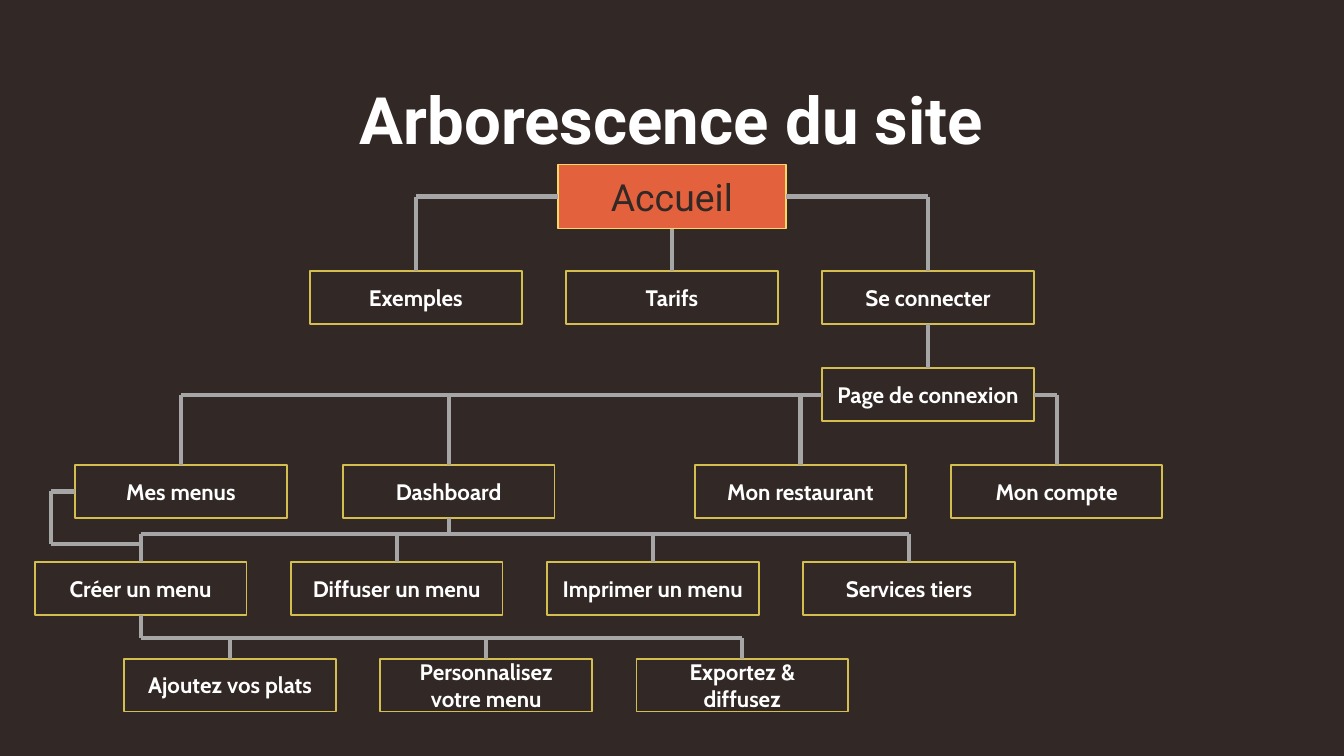
from dataclasses import dataclass
from itertools import pairwise

from lxml.etree import SubElement
from pptx import Presentation
from pptx.dml.color import RGBColor
from pptx.enum.shapes import MSO_CONNECTOR, MSO_SHAPE
from pptx.enum.text import MSO_ANCHOR, PP_ALIGN
from pptx.oxml.ns import qn
from pptx.util import Cm, Pt

DARK, WHITE, GREY = "322825", "FFFFFF", "A6A6A6"
ORANGE, YELLOW, GOLD = "E4613E", "F8D668", "D3BE4F"
PITCH = 4.84  # between neighbouring boxes
ROWS = [5.13 + 1.83 * i for i in range(5)]  # box tops
CENTRE = 12.7
INSET = Cm(0.25)


@dataclass
class Node:
    label: str
    x: float  # centre
    top: float
    w: float = 4.0
    h: float = 1.0

    @property
    def left(self) -> float:
        return self.x - self.w / 2

    @property
    def right(self) -> float:
        return self.x + self.w / 2

    @property
    def mid(self) -> float:
        return self.top + self.h / 2

    @property
    def bottom(self) -> float:
        return self.top + self.h


def rgb(value: str) -> RGBColor:
    return RGBColor.from_string(value)


def write(tf, text: str, font: str, size: float, color: str, bold: bool) -> None:
    tf.word_wrap = True
    tf.margin_left = tf.margin_right = tf.margin_top = tf.margin_bottom = INSET
    p = tf.paragraphs[0]
    p.alignment = PP_ALIGN.CENTER
    r = p.add_run()
    r.text = text
    r.font.name, r.font.size, r.font.bold = font, Pt(size), bold
    r.font.color.rgb = rgb(color)


def draw_node(s, node: Node, home: bool = False) -> None:
    sp = s.shapes.add_shape(MSO_SHAPE.RECTANGLE, Cm(node.left), Cm(node.top),
                            Cm(node.w), Cm(node.h))
    sp.shadow.inherit = False
    sp.line.color.rgb = rgb(YELLOW if home else GOLD)
    sp.line.width = Pt(1)
    tf = sp.text_frame
    tf.vertical_anchor = MSO_ANCHOR.MIDDLE
    if home:
        sp.fill.solid()
        sp.fill.fore_color.rgb = rgb(ORANGE)
        write(tf, node.label, "Roboto", 20, DARK, False)
    else:
        sp.fill.background()
        write(tf, node.label, "Cabin", 12, WHITE, True)


def wire(s, *points: tuple[float, float]) -> None:
    """Join the points with straight connectors."""
    for (x1, y1), (x2, y2) in pairwise(points):
        c = s.shapes.add_connector(MSO_CONNECTOR.STRAIGHT, Cm(x1), Cm(y1), Cm(x2), Cm(y2))
        c.line.color.rgb = rgb(GREY)
        c.line.width = Pt(2.25)
        SubElement(c._element.spPr, qn("a:effectLst"))


def drop(s, nodes: list[Node], y: float) -> None:
    """Lead from a bus at height y down to each node."""
    for node in nodes:
        wire(s, (node.x, y), (node.x, node.top))


def row(labels: list[str], x: float, top: float) -> list[Node]:
    return [Node(label, x + PITCH * i, top) for i, label in enumerate(labels)]


prs = Presentation()
prs.slide_width, prs.slide_height = Cm(25.4), Cm(14.29)
s = prs.slides.add_slide(prs.slide_layouts[5])
s.background.fill.solid()
s.background.fill.fore_color.rgb = rgb(DARK)

# Title
title = s.shapes.title
title.left, title.top, title.width, title.height = Cm(2), Cm(1.24), Cm(21.4), Cm(1.6)
title.text_frame.vertical_anchor = MSO_ANCHOR.TOP
write(title.text_frame, "Arborescence du site", "Roboto", 35, WHITE, True)

# Pages of the site
home = Node("Accueil", CENTRE, 3.11, 4.3, 1.21)
public = row(["Exemples", "Tarifs", "Se connecter"], CENTRE - PITCH, ROWS[0])
examples, prices, sign_in = public
login = Node("Page de connexion", sign_in.x, ROWS[1])
menus, dashboard = Node("Mes menus", 3.42, ROWS[2]), Node("Dashboard", 8.48, ROWS[2])
restaurant, account = row(["Mon restaurant", "Mon compte"], 15.13, ROWS[2])
actions = row(["Créer un menu", "Diffuser un menu", "Imprimer un menu", "Services tiers"],
              2.66, ROWS[3])
create = actions[0]
steps = row(["Ajoutez vos plats", "Personnalisez votre menu", "Exportez & diffusez"],
            4.35, ROWS[4])

draw_node(s, home, home=True)
for node in [*public, login, menus, dashboard, restaurant, account, *actions, *steps]:
    draw_node(s, node)

# Home to the public pages
wire(s, (examples.x, home.mid), (home.left, home.mid))
wire(s, (home.right, home.mid), (sign_in.x, home.mid))
drop(s, [examples, sign_in], home.mid)
drop(s, [prices], home.bottom)
drop(s, [login], sign_in.bottom)

# Login to the member pages
wire(s, (menus.x, login.mid), (login.left, login.mid))
wire(s, (login.right, login.mid), (account.x, login.mid))
drop(s, [menus, dashboard, restaurant, account], login.mid)

# Dashboard to the actions
bus = 10.09
wire(s, (dashboard.x, dashboard.bottom), (dashboard.x, bus))
wire(s, (create.x, bus), (actions[-1].x, bus))
drop(s, actions, bus)

# Side loop from the menus to menu creation
wire(s, (menus.left, menus.mid), (0.97, menus.mid), (0.97, 10.29), (create.x, 10.29))

# Menu creation to its steps
bus = 12.06
wire(s, (create.x, create.bottom), (create.x, bus), (steps[-1].x, bus))
drop(s, steps, bus)

prs.save("out.pptx")
